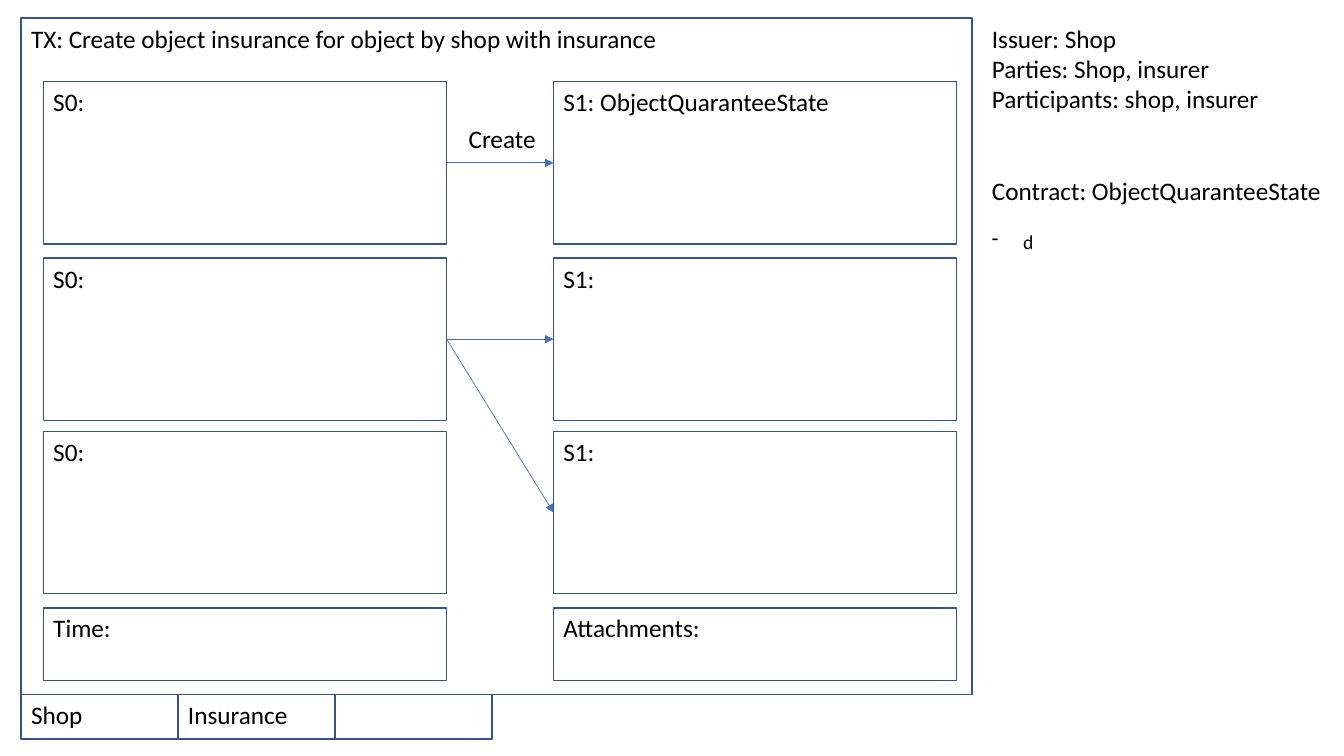
from lxml import etree
from pptx import Presentation
from pptx.dml.color import RGBColor
from pptx.enum.shapes import MSO_CONNECTOR, MSO_SHAPE
from pptx.enum.text import MSO_ANCHOR, MSO_AUTO_SIZE, PP_ALIGN
from pptx.oxml.ns import qn
from pptx.util import Inches, Pt

BORDER = RGBColor(0x32, 0x54, 0x91)
ARROW = RGBColor(0x44, 0x72, 0xC4)
BLACK = RGBColor(0, 0, 0)
WHITE = RGBColor(0xFF, 0xFF, 0xFF)
STATE_ROWS = [
    (0.63, "S0:", "S1: ObjectQuaranteeState"),
    (2.38, "S0:", "S1:"),
    (4.10, "S0:", "S1:"),
]
TRANSITIONS = [(0, 0), (1, 1), (1, 2)]


def write(p, text, size=18, before=0):
    p.alignment = PP_ALIGN.LEFT
    p.space_before = Pt(before)
    r = p.add_run()
    r.text = text
    r.font.name = "Calibri"
    r.font.size = Pt(size)
    r.font.color.rgb = BLACK


def add_box(slide, x, y, w, h, text="", fill=None):
    sp = slide.shapes.add_shape(MSO_SHAPE.RECTANGLE, *map(Inches, (x, y, w, h)))
    sp.shadow.inherit = False
    if fill is None:
        sp.fill.background()
    else:
        sp.fill.solid()
        sp.fill.fore_color.rgb = fill
    sp.line.color.rgb = BORDER
    sp.line.width = Pt(1)
    tf = sp.text_frame
    tf.vertical_anchor = MSO_ANCHOR.TOP
    if text:
        write(tf.paragraphs[0], text)
    return sp


def add_text(slide, x, y, w, h, wrap=True):
    tf = slide.shapes.add_textbox(*map(Inches, (x, y, w, h))).text_frame
    tf.word_wrap = wrap
    tf.auto_size = MSO_AUTO_SIZE.SHAPE_TO_FIT_TEXT
    return tf


def add_arrow(slide, source, target):
    cn = slide.shapes.add_connector(MSO_CONNECTOR.STRAIGHT, 0, 0, 0, 0)
    cn.begin_connect(source, 3)
    cn.end_connect(target, 1)
    cn.line.color.rgb = ARROW
    cn.line.width = Pt(0.5)
    etree.SubElement(cn.line._get_or_add_ln(), qn("a:tailEnd"), type="triangle")
    etree.SubElement(cn._element.spPr, qn("a:effectLst"))


def add_parties(slide, x, y, w, h, names):
    cell_w = w / len(names)
    for i, name in enumerate(names):
        add_box(slide, x + i * cell_w, y, cell_w, h, name)


def add_transaction(slide, x, y, w, h):
    add_box(slide, x, y, w, h,
            "TX: Create object insurance for object by shop with insurance")
    left, right, box_w = x + 0.22, x + 5.28, 4
    inputs, outputs = [], []
    for dy, before, after in STATE_ROWS:
        outputs.append(add_box(slide, right, y + dy, box_w, 1.61, after, WHITE))
        inputs.append(add_box(slide, left, y + dy, box_w, 1.61, before, WHITE))
    for bx, label in ((left, "Time:"), (right, "Attachments:")):
        add_box(slide, bx, y + 5.85, box_w, 0.72, label)
    for i, j in TRANSITIONS:
        add_arrow(slide, inputs[i], outputs[j])
    tf = add_text(slide, x + 4.34, y + 0.99, 0.87, 0.4, wrap=False)
    write(tf.paragraphs[0], "Create")


def add_details(slide, x, y, w, h):
    tf = add_text(slide, x, y, w, h)
    write(tf.paragraphs[0], "Issuer: Shop")
    write(tf.add_paragraph(), "Parties: Shop, insurer")
    write(tf.add_paragraph(), "Participants: shop, insurer")
    write(tf.add_paragraph(), "Contract: ObjectQuaranteeState", before=44)
    p = tf.add_paragraph()
    write(p, "d", size=14, before=17)
    pPr = p._p.get_or_add_pPr()
    pPr.set("marL", str(Inches(0.31)))
    pPr.set("indent", str(-Inches(0.31)))
    etree.SubElement(pPr, qn("a:buChar"), char="-")


prs = Presentation()
prs.slide_width, prs.slide_height = Inches(13.33), Inches(7.5)
slide = prs.slides.add_slide(prs.slide_layouts[6])
add_parties(slide, 0.21, 6.89, 4.67, 0.44, ["Shop", "Insurance", ""])
add_transaction(slide, 0.21, 0.18, 9.43, 6.71)
add_details(slide, 9.74, 0.18, 3.57, 2.39)
prs.save("out.pptx")
